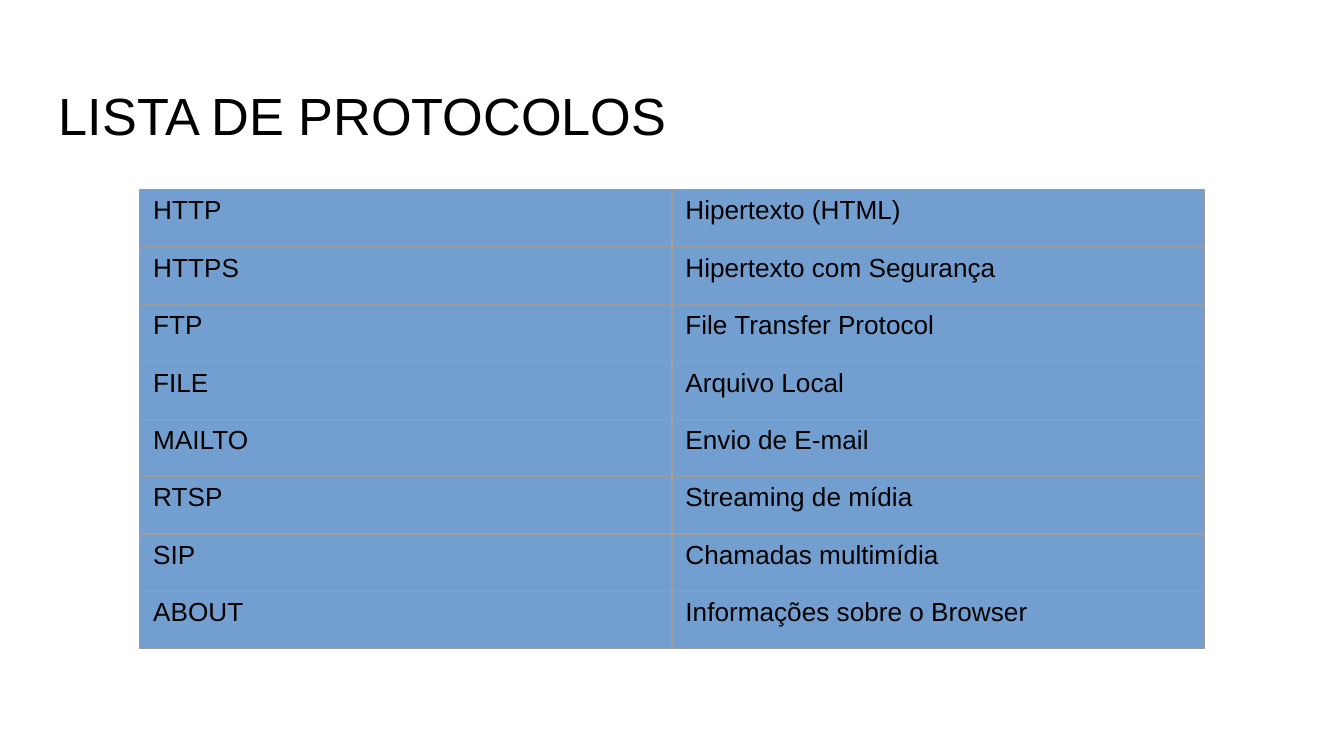
from lxml import etree
from pptx import Presentation, util as u
from pptx.dml.color import RGBColor
from pptx.enum import text
from pptx.oxml.ns import qn

TITLE = "LISTA DE PROTOCOLOS"
PROTOCOLS = [
    ("HTTP", "Hipertexto (HTML)"),
    ("HTTPS", "Hipertexto com Segurança"),
    ("FTP", "File Transfer Protocol"),
    ("FILE", "Arquivo Local"),
    ("MAILTO", "Envio de E-mail"),
    ("RTSP", "Streaming de mídia"),
    ("SIP", "Chamadas multimídia"),
    ("ABOUT", "Informações sobre o Browser"),
]

COLORS = {"ink": "000000", "cell": "729FCF", "border": "9E9E9E"}
FONT = "Arial"
WIDTH = u.Inches(10)
HEIGHT = WIDTH * 9 // 16
TITLE_BOX = [u.Inches(n) for n in (0.34, 0.52, 9.32, 0.63)]
TABLE_LEFT, TABLE_TOP = u.Inches(1.04), u.Inches(1.41)
TABLE_WIDTH, TABLE_HEIGHT = WIDTH - 2 * TABLE_LEFT, u.Inches(3.42)
BORDER_WIDTH = u.Pt(0.75)


def write(frame, words, size):
    run = frame.paragraphs[0].add_run()
    run.text = words
    run.font.name = FONT
    run.font.size = u.Pt(size)
    run.font.color.rgb = RGBColor.from_string(COLORS["ink"])


def set_margins(holder, x, y):
    holder.margin_left = holder.margin_right = u.Inches(x)
    holder.margin_top = holder.margin_bottom = u.Inches(y)
    holder.vertical_anchor = text.MSO_ANCHOR.TOP


def add_borders(cell):
    """Line all four sides; borders must come before the fill in tcPr."""
    props = cell._tc.get_or_add_tcPr()
    for place, side in enumerate(("a:lnL", "a:lnR", "a:lnT", "a:lnB")):
        line = etree.Element(qn(side), w=str(BORDER_WIDTH))
        fill = etree.SubElement(line, qn("a:solidFill"))
        etree.SubElement(fill, qn("a:srgbClr"), val=COLORS["border"])
        props.insert(place, line)


def main():
    deck = Presentation()
    deck.slide_width, deck.slide_height = WIDTH, HEIGHT
    slide = deck.slides.add_slide(deck.slide_layouts[6])

    heading = slide.shapes.add_textbox(*TITLE_BOX).text_frame
    heading.word_wrap = True
    set_margins(heading, 0.1, 0.1)
    write(heading, TITLE, 28)

    rows, cols = len(PROTOCOLS), len(PROTOCOLS[0])
    table = slide.shapes.add_table(
        rows, cols, TABLE_LEFT, TABLE_TOP, TABLE_WIDTH, TABLE_HEIGHT
    ).table
    table.first_row = table.horz_banding = False
    for r, protocol in enumerate(PROTOCOLS):
        for c, words in enumerate(protocol):
            cell = table.cell(r, c)
            set_margins(cell, 0.1, 0.05)
            write(cell.text_frame, words, 14)
            cell.fill.solid()
            cell.fill.fore_color.rgb = RGBColor.from_string(COLORS["cell"])
            add_borders(cell)

    deck.save("out.pptx")


if __name__ == "__main__":
    main()
